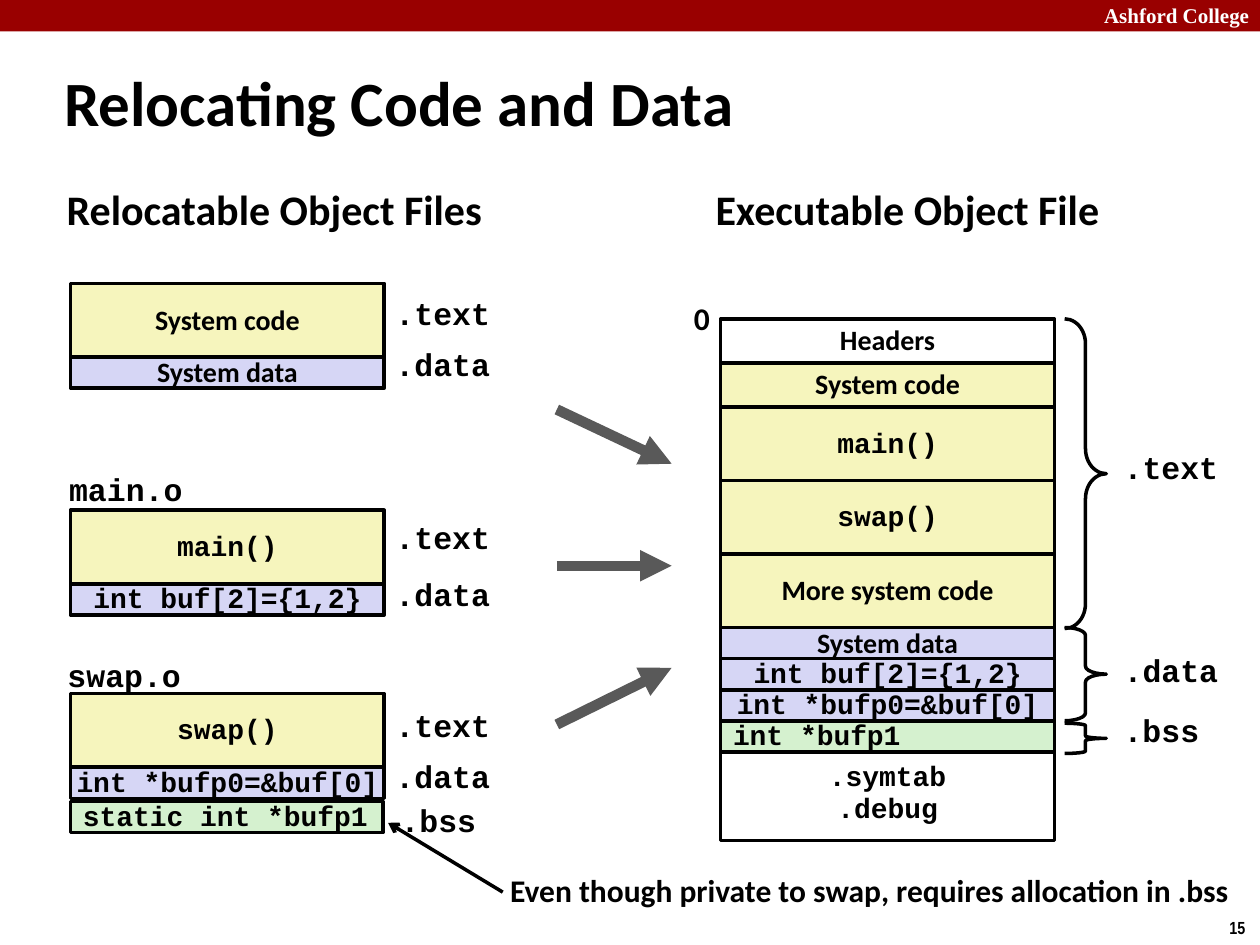
import pptx
import pptx.dml.color
import pptx.enum.shapes
import pptx.enum.text
import pptx.oxml.ns
import pptx.util
from lxml import etree

Pt = pptx.util.Pt
SHAPE = pptx.enum.shapes.MSO_SHAPE
ALIGN = pptx.enum.text.PP_ALIGN
ANCHOR = pptx.enum.text.MSO_ANCHOR
FIT = pptx.enum.text.MSO_AUTO_SIZE

SANS, MONO = "Calibri", "Courier New"
SPACING = {SANS: 0.98, MONO: 0.94}
CODE, DATA, BSS = "F6F5BD", "D6D6F5", "D5F1CF"
BLACK, WHITE, GREY, RED = "000000", "FFFFFF", "595959", "990000"
TALL, MID, LOW = 42, 25.2, 17.8


def color(hex):
    return pptx.dml.color.RGBColor.from_string(hex)


class Page:
    def __init__(self, slide):
        self.slide = slide
        self.shapes = slide.shapes

    def letter(self, frame, text, size, font, align=ALIGN.LEFT, ink=BLACK):
        """Fill a text frame and style its paragraphs."""
        frame.text = text
        for para in frame.paragraphs:
            para.alignment = align
            para.line_spacing = SPACING.get(font, 1.0)
            para.font.name = font
            para.font.size = Pt(size)
            para.font.bold = True
            para.font.color.rgb = color(ink)

    def title(self, text, x, y, w, h):
        box = self.shapes.title
        box.left, box.top, box.width, box.height = Pt(x), Pt(y), Pt(w), Pt(h)
        box.text_frame.auto_size = FIT.NONE
        box.text_frame.vertical_anchor = ANCHOR.MIDDLE
        self.letter(box.text_frame, text, 36, SANS)

    def label(self, text, x, y, w, h, size=18, font=SANS, **style):
        box = self.shapes.add_textbox(Pt(x), Pt(y), Pt(w), Pt(h))
        box.text_frame.word_wrap = False
        box.text_frame.auto_size = FIT.SHAPE_TO_FIT_TEXT
        self.letter(box.text_frame, text, size, font, **style)

    def code(self, text, x, y):
        """Label in the fixed-width font, as wide as its letters need."""
        self.label(text, x, y, len(text) * 10.8 + 14.4, 28, font=MONO)

    def shape(self, kind, x, y, w, h, fill=None, line=BLACK):
        shape = self.shapes.add_shape(kind, Pt(x), Pt(y), Pt(w), Pt(h))
        shape.shadow.inherit = False
        if fill:
            shape.fill.solid()
            shape.fill.fore_color.rgb = color(fill)
        else:
            shape.fill.background()
        if line:
            shape.line.color.rgb = color(line)
            shape.line.width = Pt(2)
        else:
            shape.line.fill.background()
        return shape

    def box(self, text, x, y, w, h, fill, font=MONO, align=ALIGN.CENTER):
        frame = self.shape(SHAPE.RECTANGLE, x, y, w, h, fill).text_frame
        frame.word_wrap = False
        frame.vertical_anchor = ANCHOR.MIDDLE
        self.letter(frame, text, 16, font, align)

    def stack(self, x, y, w, rows):
        """Boxes set one below the other; a row is text, height and style."""
        for text, h, *style in rows:
            self.box(text, x, y, w, h, *style)
            y += h

    def brace(self, x, y, w, h, curve):
        shape = self.shape(SHAPE.RIGHT_BRACE, x, y, w, h)
        shape.adjustments[0] = curve

    def arrow(self, start, end, ink, width, head):
        kind = pptx.enum.shapes.MSO_CONNECTOR.STRAIGHT
        line = self.shapes.add_connector(kind, *map(Pt, start + end))
        line.line.color.rgb = color(ink)
        line.line.width = Pt(width)
        props = line._element.spPr
        tail = etree.SubElement(props.get_or_add_ln(),
                                pptx.oxml.ns.qn("a:tailEnd"))
        tail.set("type", head)
        etree.SubElement(props, pptx.oxml.ns.qn("a:effectLst"))


def main():
    deck = pptx.Presentation()
    deck.slide_width, deck.slide_height = Pt(720), Pt(540)
    page = Page(deck.slides.add_slide(deck.slide_layouts[5]))

    page.shape(SHAPE.RECTANGLE, 0, 0, 720, 18, RED, None)
    page.label("Ashford College", 622, -2, 99, 22, 12, "Times New Roman",
               align=ALIGN.RIGHT, ink=WHITE)
    page.label("15", 695.5, 520.5, 24.5, 19.5, 10, "Arial Narrow")
    page.title("Relocating Code and Data", 29.5, 36.7, 598.3, 45.4)
    page.label("Relocatable Object Files", 31, 103, 254, 36, 24)
    page.label("Executable Object File", 401.8, 103, 236, 36, 24)

    # Object files
    left, wide = 40.3, 179.3
    page.stack(left, 162, wide, [("System code", TALL, CODE, SANS),
                                 ("System data", LOW, DATA, SANS)])
    page.stack(left, 291.6, wide, [("main()", TALL, CODE),
                                   ("int buf[2]={1,2}", LOW, DATA)])
    page.stack(left, 396.4, wide, [("swap()", TALL, CODE),
                                   ("int *bufp0=&buf[0]", LOW, DATA)])
    page.box("static int *bufp1", left, 458, 178.6, LOW, BSS,
             align=ALIGN.LEFT)
    page.code("main.o", 32.4, 267)
    page.code("swap.o", 31.5, 373)
    for text, y in ((".text", 166.3), (".data", 195.1), (".text", 294.5),
                    (".data", 326.9), (".text", 401.8), (".data", 430.6)):
        page.code(text, 218.9, y)
    page.code(".bss", 221.8, 455.8)

    # Executable
    right, span, top = 411.8, 190.8, 182.2
    page.box(".symtab\n.debug", right, 426.2, span, 54, WHITE)
    page.stack(right, top, span, [
        ("Headers", MID, WHITE, SANS),
        ("System code", MID, CODE, SANS),
        ("main()", TALL, CODE),
        ("swap()", TALL, CODE),
        ("More system code", TALL, CODE, SANS),
        ("System data", LOW, DATA, SANS),
        ("int buf[2]={1,2}", LOW, DATA),
        ("int *bufp0=&buf[0]", LOW, DATA),
        ("int *bufp1", LOW, BSS, MONO, ALIGN.LEFT),
    ])
    page.label("0", 389.5, 168.5, 24.5, 29)
    for text, y, brace, h, curve in ((".text", 254.2, top, 177, 0.6),
                                     (".data", 370.1, 358.6, 53.3, 0.19),
                                     (".bss", 404.6, 413.3, 17.3, 0.08)):
        page.brace(608.4, brace, 23.8, h, curve)
        page.code(text, 635, y)

    for start, end in ((234, 265), (323.3, 323.3), (414, 381.6)):
        page.arrow((318.2, start), (383.8, end), GREY, 6, "triangle")
    page.arrow((287.3, 509.8), (221.8, 470.2), BLACK, 2, "arrow")
    page.label("Even though private to swap, requires allocation in .bss",
               284.4, 495.4, 428.4, 29)
    deck.save("out.pptx")


if __name__ == "__main__":
    main()
